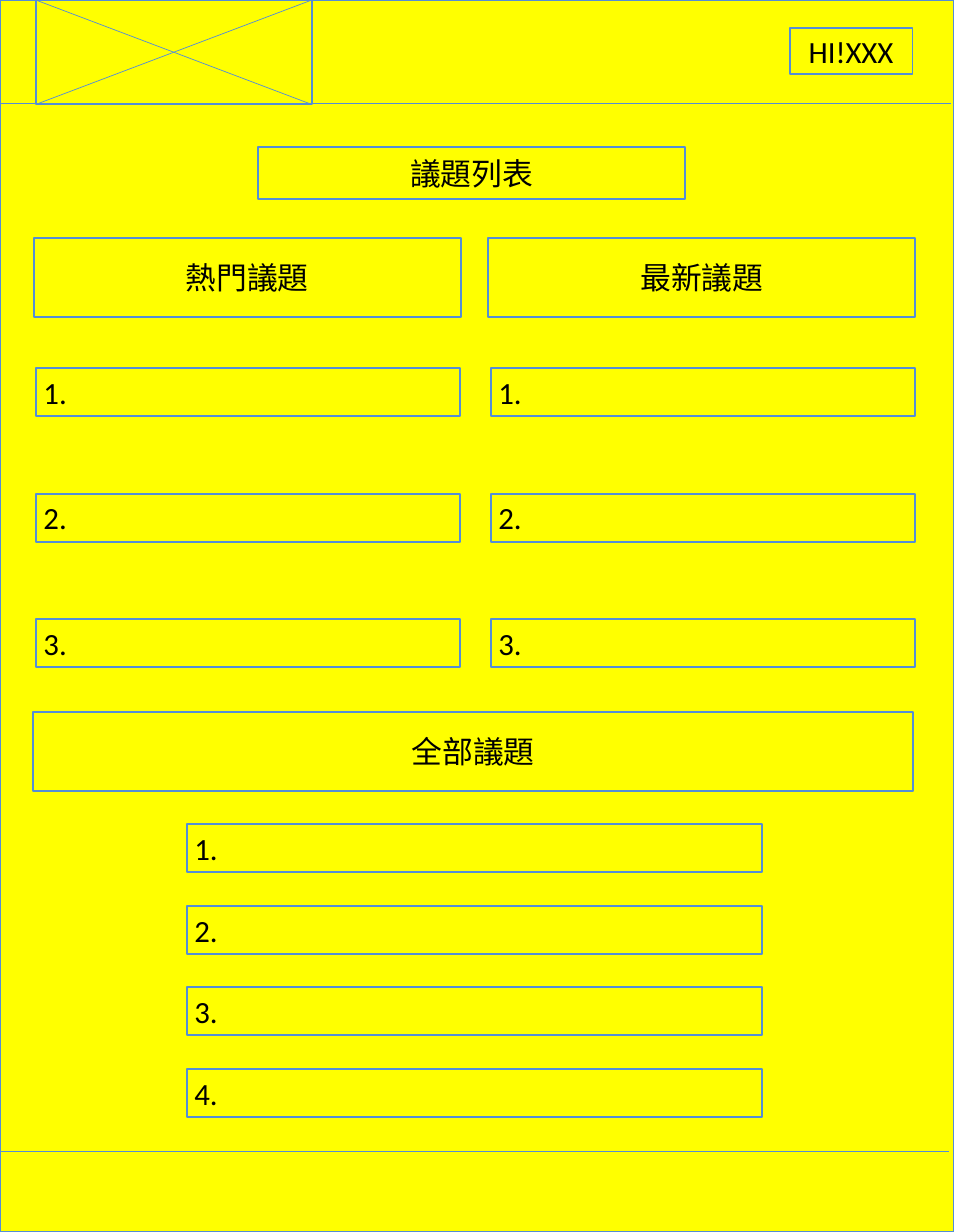
from lxml import etree
from pptx import Presentation
from pptx.dml.color import RGBColor
from pptx.enum.shapes import MSO_CONNECTOR, MSO_SHAPE
from pptx.enum.text import MSO_ANCHOR, MSO_AUTO_SIZE, PP_ALIGN
from pptx.oxml.ns import qn
from pptx.util import Inches, Pt

RECT = MSO_SHAPE.RECTANGLE
STRAIGHT = MSO_CONNECTOR.STRAIGHT
MIDDLE = MSO_ANCHOR.MIDDLE
NO_AUTOFIT = MSO_AUTO_SIZE.NONE
LEFT, CENTER = PP_ALIGN.LEFT, PP_ALIGN.CENTER

COLORS = {"page": "FFFF00", "line": "558ED5", "text": "000000"}
FONT, TEXT_SIZE = "Calibri", 31
WIDTH, HEIGHT = 13.34, 17.22
ROW_HEIGHT, HEADING_HEIGHT = 0.67, 1.1


def color(name):
    """Return a palette colour."""
    return RGBColor.from_string(COLORS[name])


def outline(shape, width=2):
    """Draw the blue line of a shape or connector."""
    shape.line.color.rgb = color("line")
    shape.line.width = Pt(width)


def write(shape, text, align):
    """Put one line of text in a shape, centred vertically."""
    tf = shape.text_frame
    tf.word_wrap = True
    tf.auto_size = NO_AUTOFIT
    tf.vertical_anchor = MIDDLE
    p = tf.paragraphs[0]
    p.alignment = align
    r = p.add_run()
    r.text = text
    r.font.name = FONT
    r.font.size = Pt(TEXT_SIZE)
    r.font.color.rgb = color("text")


def add_box(shapes, x, y, w, h, text=None, align=CENTER):
    """Add an outlined, unfilled box with optional text."""
    box = shapes.add_shape(RECT, Inches(x), Inches(y), Inches(w), Inches(h))
    box.shadow.inherit = False
    box.fill.background()
    outline(box)
    if text:
        write(box, text, align)
    return box


def add_line(shapes, x1, y1, x2, y2):
    """Add a thin straight line without shadow."""
    line = shapes.add_connector(
        STRAIGHT, Inches(x1), Inches(y1), Inches(x2), Inches(y2))
    outline(line, 0.75)
    etree.SubElement(line.element.spPr, qn("a:effectLst"))


def add_page(s):
    """Fill the page, placing it behind the title."""
    page = add_box(s.shapes, 0, 0, WIDTH, HEIGHT)
    page.fill.solid()
    page.fill.fore_color.rgb = color("page")
    s.shapes.title.element.addprevious(page.element)


def add_image_frame(s, x, y, w, h):
    """Add a crossed box that reserves room for an image."""
    group = s.shapes.add_group_shape()
    add_box(group.shapes, x, y, w, h)
    add_line(group.shapes, x, y, x + w, y + h)
    add_line(group.shapes, x + w, y, x, y + h)


def place_title(s, text, x, y, w, h):
    """Move and format the title placeholder."""
    title = s.shapes.title
    title.left, title.top = Inches(x), Inches(y)
    title.width, title.height = Inches(w), Inches(h)
    outline(title)
    write(title, text, CENTER)


def add_numbered_rows(s, x, y, w, pitch, count):
    """Add evenly spaced, numbered empty rows."""
    for i in range(count):
        add_box(s.shapes, x, y + i * pitch, w, ROW_HEIGHT, f"{i + 1}.", LEFT)


def main():
    """Build the topic list page."""
    prs = Presentation()
    prs.slide_width, prs.slide_height = Inches(WIDTH), Inches(HEIGHT)
    s = prs.slides.add_slide(prs.slide_layouts[5])

    add_page(s)
    add_image_frame(s, 0.5, 0, 3.86, 1.46)
    for x, y in ((-0.04, 1.45), (-0.07, 16.09)):
        add_line(s.shapes, x, y, x + WIDTH, y)
    add_box(s.shapes, 11.04, 0.39, 1.72, 0.65, "HI!XXX")
    place_title(s, "議題列表", 3.61, 2.06, 5.97, 0.72)

    for x, heading in ((0.47, "熱門議題"), (6.83, "最新議題")):
        add_box(s.shapes, x, 3.33, 5.97, HEADING_HEIGHT, heading)
        add_numbered_rows(s, x + 0.04, 5.15, 5.93, 1.75, 3)

    add_box(s.shapes, 0.46, 9.95, 12.31, HEADING_HEIGHT, "全部議題")
    add_numbered_rows(s, 2.62, 11.52, 8.04, 1.14, 4)

    prs.save("out.pptx")


main()
